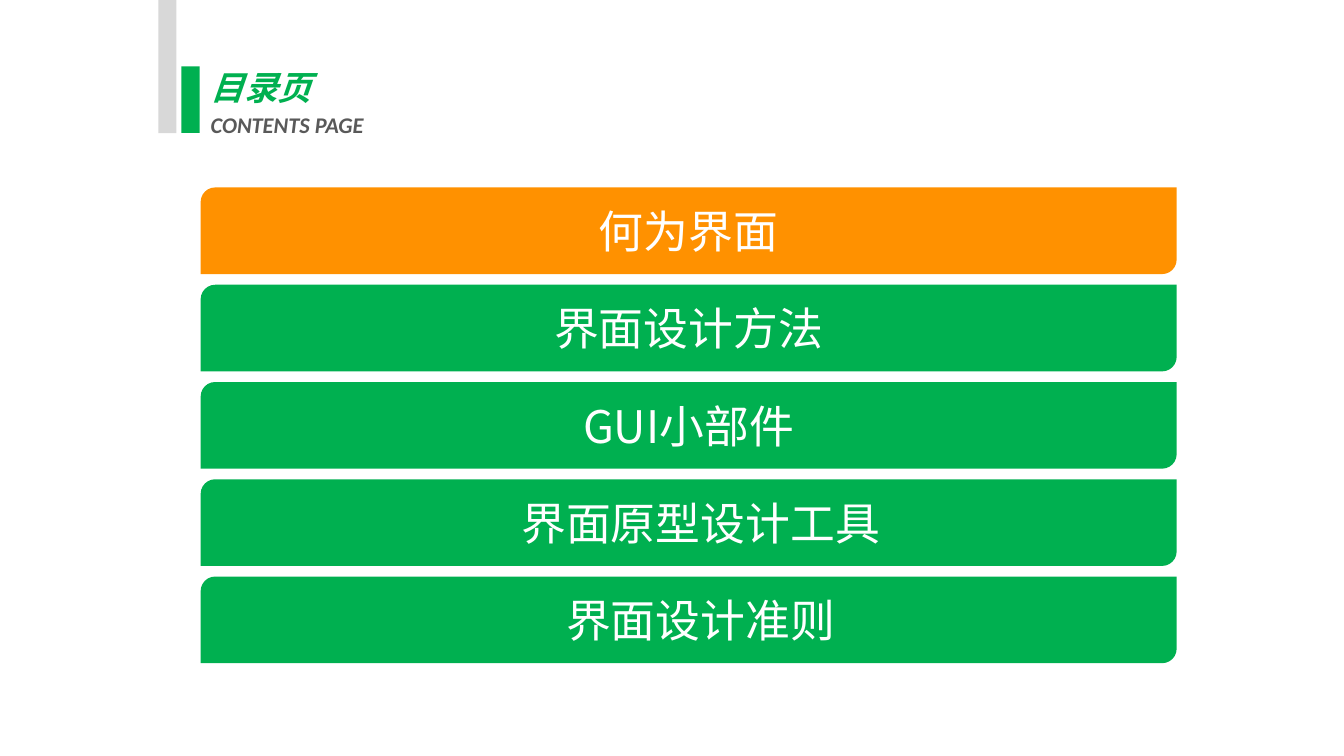
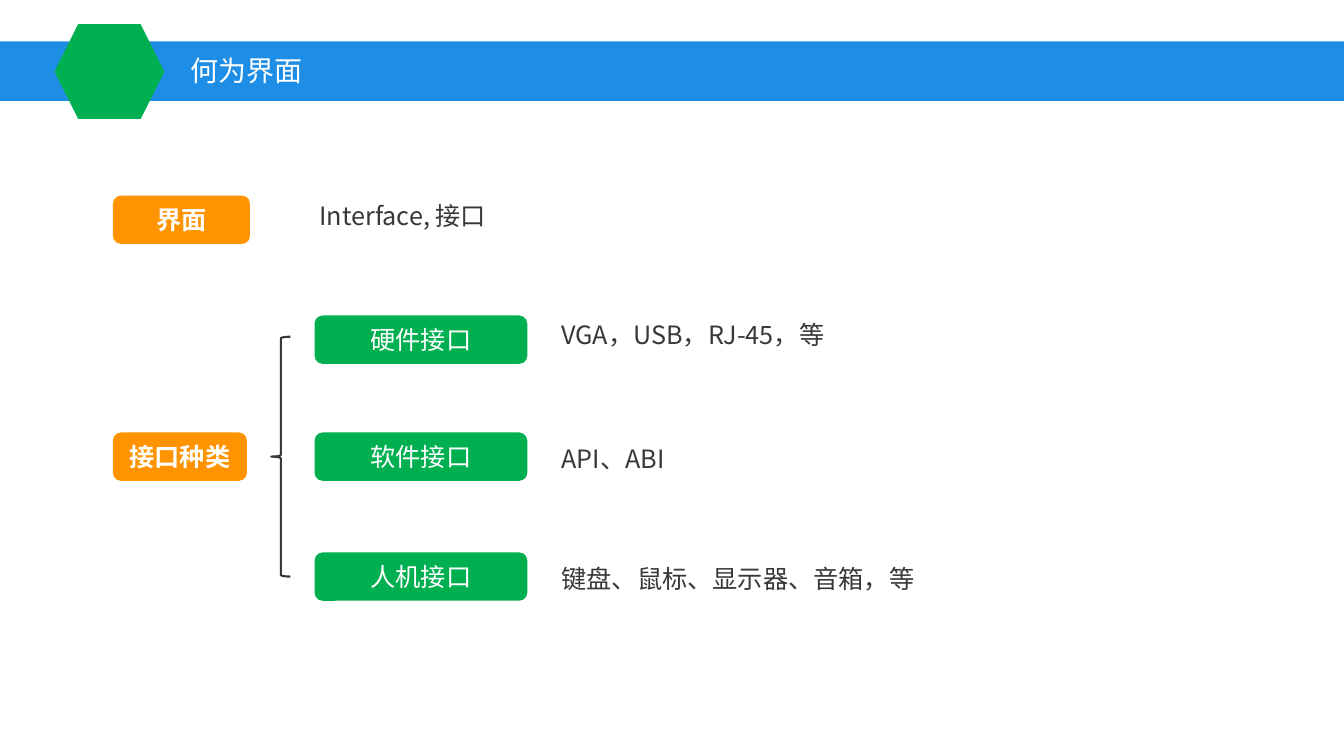
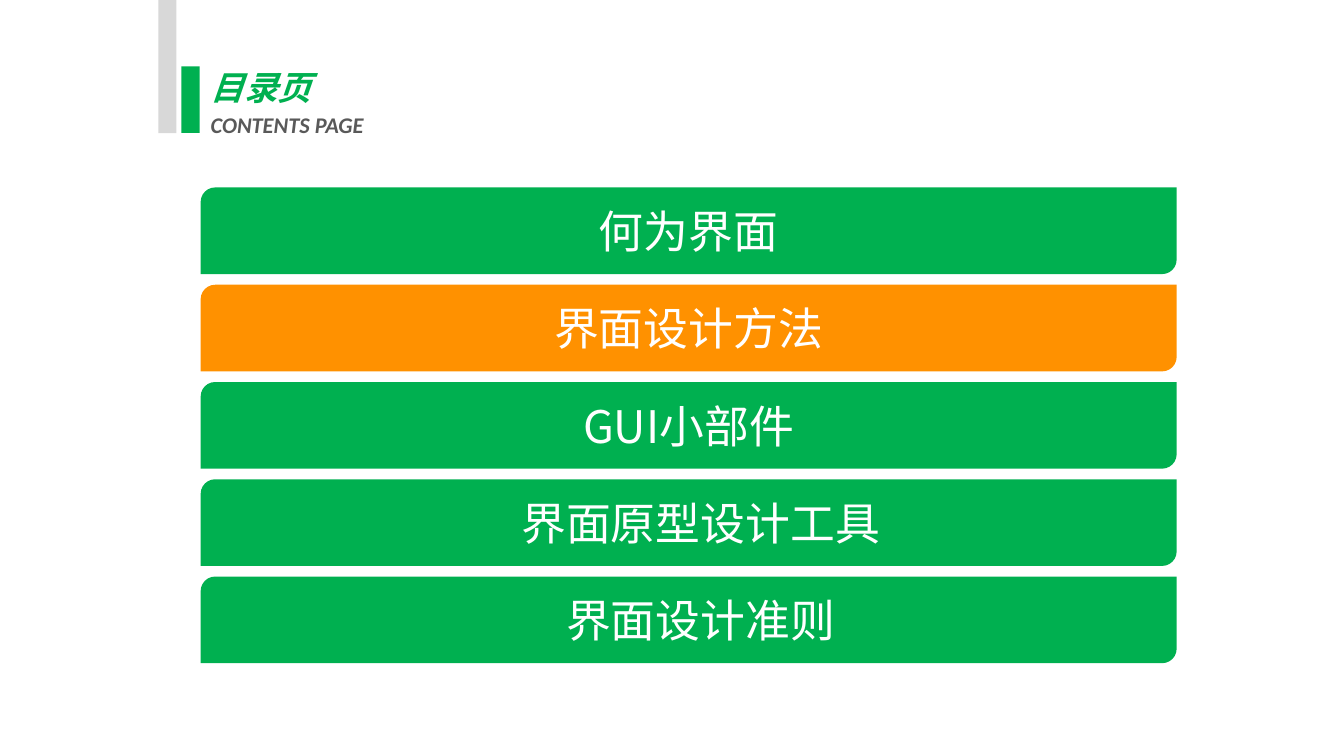
import dataclasses
import typing

import pptx
import pptx.dml.color
import pptx.enum.shapes
import pptx.enum.text
import pptx.oxml.ns
import pptx.util
from lxml import etree

Inches = pptx.util.Inches
SHAPE = pptx.enum.shapes.MSO_SHAPE
ALIGN = pptx.enum.text.PP_ALIGN
ANCHOR = pptx.enum.text.MSO_ANCHOR


# Theme: colours, fonts and type sizes
@dataclasses.dataclass(frozen=True)
class Theme:
    green: str = "00B050"
    orange: str = "FF9100"
    tag: str = "FF9300"
    blue: str = "1D8DE5"
    grey: str = "D8D8D8"
    subtitle: str = "595959"
    ink: str = "39373A"
    white: str = "FFFFFF"
    cjk: str = "Noto Sans CJK SC"
    latin: str = "Calibri"
    entry_size: int = 32
    contents_size: int = 24
    heading_size: int = 20
    body_size: int = 18
    subtitle_size: int = 16


THEME = Theme()


class Box(typing.NamedTuple):
    left: float
    top: float
    width: float
    height: float


@dataclasses.dataclass(frozen=True)
class Style:
    size: int
    color: str
    bold: bool = False
    italic: bool = False
    font: str = THEME.cjk


@dataclasses.dataclass(frozen=True)
class Entry:
    text: str
    indent: float = 0


@dataclasses.dataclass(frozen=True)
class Label:
    text: str
    box: Box
    fill: str
    bold: bool = False


@dataclasses.dataclass(frozen=True)
class Note:
    text: str
    left: float
    top: float


ENTRIES = (
    Entry("何为界面"),
    Entry("界面设计方法"),
    Entry("GUI小部件"),
    Entry("界面原型设计工具", indent=0.24),
    Entry("界面设计准则", indent=0.24),
)
ENTRY_BOX = Box(1.99, 1.86, 9.68, 0.86)
ENTRY_PITCH = 0.965

LABEL_HEIGHT = 0.48
TAG_LEFT, KIND_LEFT, KIND_WIDTH = 1.12, 3.12, 2.11
LABELS = (
    Label("界面", Box(TAG_LEFT, 1.94, 1.36, LABEL_HEIGHT), THEME.tag, True),
    Label("接口种类", Box(TAG_LEFT, 4.29, 1.33, LABEL_HEIGHT), THEME.tag, True),
    Label("硬件接口", Box(KIND_LEFT, 3.13, KIND_WIDTH, LABEL_HEIGHT), THEME.green),
    Label("软件接口", Box(KIND_LEFT, 4.29, KIND_WIDTH, LABEL_HEIGHT), THEME.green),
    Label("人机接口", Box(KIND_LEFT, 5.48, KIND_WIDTH, LABEL_HEIGHT), THEME.green),
)
NOTES = (
    Note("Interface, 接口", 3.07, 1.94),
    Note("VGA，USB，RJ-45，等", 5.47, 3.12),
    Note("API、ABI", 5.47, 4.35),
    Note("键盘、鼠标、显示器、音箱，等", 5.47, 5.54),
)


# Drawing helpers
def rgb(color: str) -> pptx.dml.color.RGBColor:
    return pptx.dml.color.RGBColor.from_string(color)


def add_run(p, text: str, style: Style) -> None:
    r = p.add_run()
    r.text = text
    r.font.size = pptx.util.Pt(style.size)
    r.font.bold = style.bold
    r.font.italic = style.italic
    r.font.color.rgb = rgb(style.color)
    r.font.name = style.font
    ea = etree.SubElement(r.font._element, pptx.oxml.ns.qn("a:ea"))
    ea.set("typeface", style.font)


def add_block(s, kind, box: Box, fill: str):
    sp = s.shapes.add_shape(kind, *map(Inches, box))
    sp.shadow.inherit = False
    sp.fill.solid()
    sp.fill.fore_color.rgb = rgb(fill)
    sp.line.fill.background()
    return sp


def add_caption(sp, text: str, style: Style, indent: float = 0) -> None:
    tf = sp.text_frame
    tf.margin_left = Inches(indent)
    tf.margin_right = tf.margin_top = tf.margin_bottom = 0
    tf.vertical_anchor = ANCHOR.MIDDLE
    p = tf.paragraphs[0]
    p.alignment = ALIGN.CENTER
    add_run(p, text, style)


def set_title(s, box: Box, lines, anchor, spacing: float = 1.0) -> None:
    sp = s.shapes.title
    sp.left, sp.top, sp.width, sp.height = map(Inches, box)
    tf = sp.text_frame
    tf.word_wrap = True
    tf.auto_size = pptx.enum.text.MSO_AUTO_SIZE.NONE
    tf.vertical_anchor = anchor
    for i, (text, style) in enumerate(lines):
        p = tf.add_paragraph() if i else tf.paragraphs[0]
        p.alignment = ALIGN.LEFT
        p.line_spacing = spacing
        add_run(p, text, style)
    # Keep the title in front of the band
    sp.element.getparent().append(sp.element)


def add_slide(prs):
    return prs.slides.add_slide(prs.slide_layouts[5])


# Contents page with the current chapter highlighted
def add_contents(prs, current: int) -> None:
    s = add_slide(prs)
    add_block(s, SHAPE.RECTANGLE, Box(1.57, 0, 0.18, 1.32), THEME.grey)
    add_block(s, SHAPE.RECTANGLE, Box(1.8, 0.66, 0.18, 0.66), THEME.green)
    lines = (
        ("目录页", Style(THEME.contents_size, THEME.green, True, True)),
        ("CONTENTS PAGE",
         Style(THEME.subtitle_size, THEME.subtitle, True, True, THEME.latin)),
    )
    set_title(s, Box(1.99, 0.57, 2.19, 0.85), lines, ANCHOR.TOP, 1.12)
    for i, entry in enumerate(ENTRIES):
        box = ENTRY_BOX._replace(top=ENTRY_BOX.top + i * ENTRY_PITCH)
        fill = THEME.orange if i == current else THEME.green
        sp = add_block(s, SHAPE.ROUND_2_DIAG_RECTANGLE, box, fill)
        add_caption(sp, entry.text, Style(THEME.entry_size, THEME.white), entry.indent)


# Chapter page: kinds of interface
def add_interfaces(prs) -> None:
    s = add_slide(prs)
    add_block(s, SHAPE.RECTANGLE, Box(0, 0.41, 13.33, 0.59), THEME.blue)
    add_block(s, SHAPE.HEXAGON, Box(0.54, 0.24, 1.09, 0.94), THEME.green)
    heading = Style(THEME.heading_size, THEME.white)
    set_title(s, Box(1.79, 0.48, 5.59, 0.44), [("何为界面", heading)], ANCHOR.MIDDLE)

    for label in LABELS:
        sp = add_block(s, SHAPE.ROUNDED_RECTANGLE, label.box, label.fill)
        add_caption(sp, label.text, Style(THEME.body_size, THEME.white, label.bold))

    brace = s.shapes.add_shape(SHAPE.LEFT_BRACE, *map(Inches, (2.69, 3.34, 0.19, 2.38)))
    brace.shadow.inherit = False
    brace.fill.background()
    brace.line.color.rgb = rgb(THEME.ink)
    brace.line.width = pptx.util.Pt(1.5)

    for note in NOTES:
        box = Box(note.left, note.top, 5.16, 0.4)
        tf = s.shapes.add_textbox(*map(Inches, box)).text_frame
        tf.word_wrap = True
        add_run(tf.paragraphs[0], note.text, Style(THEME.body_size, THEME.ink))


def main() -> None:
    prs = pptx.Presentation()
    prs.slide_width, prs.slide_height = Inches(13.33), Inches(7.5)
    add_contents(prs, current=0)
    add_interfaces(prs)
    add_contents(prs, current=1)
    prs.save("out.pptx")


if __name__ == "__main__":
    main()
